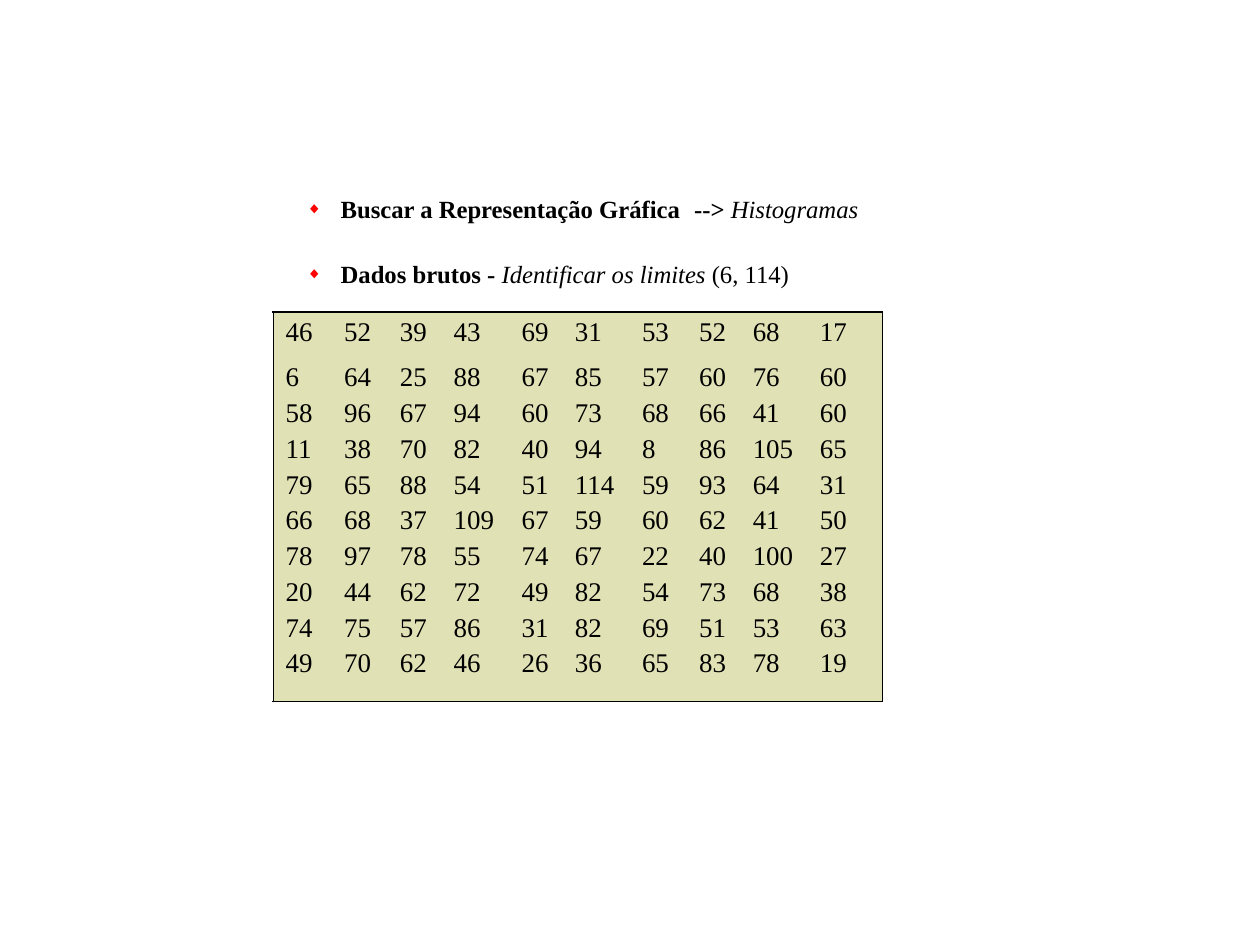
from lxml import etree
from pptx import Presentation
from pptx.dml.color import RGBColor
from pptx.enum.text import PP_ALIGN
from pptx.oxml.ns import qn
from pptx.util import Pt

CENTER = PP_ALIGN.CENTER
LEFT = PP_ALIGN.LEFT

FONT = "Times New Roman"
BLACK, RED, KHAKI = "000000", "FF0000", "E1E1B6"
PLAIN_TABLE_STYLE = "{2D5ABB26-0587-4C30-8999-92F81FD0307C}"

# Each bullet is a list of (text, bold, italic)
BULLETS = [
    [("Buscar a Representação Gráfica\t--> ", True, False),
     ("Histogramas", False, True)],
    [("Dados brutos - ", True, False),
     ("Identificar os limites ", False, True),
     ("(6, 114)", False, False)],
]
BULLET_GAP = 31.7
BULLET_INDENT = 30.6
ARROW_TAB = 345.6

RAW_DATA = [
    [46, 52, 39, 43, 69, 31, 53, 52, 68, 17],
    [6, 64, 25, 88, 67, 85, 57, 60, 76, 60],
    [58, 96, 67, 94, 60, 73, 68, 66, 41, 60],
    [11, 38, 70, 82, 40, 94, 8, 86, 105, 65],
    [79, 65, 88, 54, 51, 114, 59, 93, 64, 31],
    [66, 68, 37, 109, 67, 59, 60, 62, 41, 50],
    [78, 97, 78, 55, 74, 67, 22, 40, 100, 27],
    [20, 44, 62, 72, 49, 82, 54, 73, 68, 38],
    [74, 75, 57, 86, 31, 82, 69, 51, 53, 63],
    [49, 70, 62, 46, 26, 36, 65, 83, 78, 19],
]
COLUMN_WIDTHS = [50.4, 49.7, 49.7, 59, 49, 59.8, 49, 49.7, 59.8, 67]
ROW_HEIGHTS = [53.3] + [31.85] * 8 + [38.9]
CENTERED_COLUMNS = {1, 2, 4, 7}


def color(hex_string):
    return RGBColor.from_string(hex_string)


def add_child(parent, tag, **attributes):
    child = etree.SubElement(parent, qn(tag))
    for name, value in attributes.items():
        child.set(name, str(value))
    return child


def format_run(run, size, bold=False, italic=False):
    run.font.name = FONT
    run.font.size = Pt(size)
    run.font.bold = bold
    run.font.italic = italic
    run.font.color.rgb = color(BLACK)


def add_bullet_marker(paragraph):
    properties = paragraph._p.get_or_add_pPr()
    properties.set("marL", str(Pt(BULLET_INDENT)))
    properties.set("indent", str(-Pt(BULLET_INDENT)))
    add_child(add_child(properties, "a:buClr"), "a:srgbClr", val=RED)
    add_child(properties, "a:buSzPct", val=64000)
    add_child(properties, "a:buFont", typeface=FONT)
    add_child(properties, "a:buChar", char="◆")
    tabs = add_child(properties, "a:tabLst")
    for position in (BULLET_INDENT, ARROW_TAB):
        add_child(tabs, "a:tab", pos=Pt(position), algn="l")


def add_bullets(slide, left, top, width, height):
    text_frame = slide.shapes.add_textbox(
        Pt(left), Pt(top), Pt(width), Pt(height)).text_frame
    text_frame.word_wrap = True
    text_frame.margin_left = text_frame.margin_right = 0
    text_frame.margin_top = Pt(0.7)
    text_frame.margin_bottom = 0
    for index, parts in enumerate(BULLETS):
        paragraph = text_frame.add_paragraph() if index else text_frame.paragraphs[0]
        paragraph.space_before = Pt(BULLET_GAP if index else 1.1)
        add_bullet_marker(paragraph)
        for text, bold, italic in parts:
            run = paragraph.add_run()
            run.text = text
            format_run(run, 22, bold, italic)


def add_border(cell, tag):
    line = add_child(cell._tc.get_or_add_tcPr(), tag, w=Pt(1.5))
    add_child(add_child(line, "a:solidFill"), "a:srgbClr", val=BLACK)


def fill_data_cell(cell, value, row, column):
    # Only the outer edge of the table is ruled
    edges = {
        "a:lnL": column == 0,
        "a:lnR": column == len(COLUMN_WIDTHS) - 1,
        "a:lnT": row == 0,
        "a:lnB": row == len(ROW_HEIGHTS) - 1,
    }
    for tag, is_outer in edges.items():
        if is_outer:
            add_border(cell, tag)
    cell.fill.solid()
    cell.fill.fore_color.rgb = color(KHAKI)

    centered = column in CENTERED_COLUMNS
    cell.margin_left = cell.margin_right = cell.margin_bottom = 0
    cell.margin_top = Pt(0 if row else 11.7)
    paragraph = cell.text_frame.paragraphs[0]
    paragraph.text = str(value)
    paragraph.alignment = CENTER if centered else LEFT
    paragraph.line_spacing = Pt(18.6 if row else 20)
    if not centered:
        paragraph._p.get_or_add_pPr().set("marL", str(Pt(11)))
    format_run(paragraph.runs[0], 24)


def add_data_table(slide, left, top):
    table = slide.shapes.add_table(
        len(ROW_HEIGHTS), len(COLUMN_WIDTHS), Pt(left), Pt(top),
        Pt(sum(COLUMN_WIDTHS)), Pt(sum(ROW_HEIGHTS))).table
    table.first_row = table.horz_banding = False
    table._tbl.tblPr.find(qn("a:tableStyleId")).text = PLAIN_TABLE_STYLE
    for column, width in zip(table.columns, COLUMN_WIDTHS):
        column.width = Pt(width)
    for row, height in zip(table.rows, ROW_HEIGHTS):
        row.height = Pt(height)
    for row, values in enumerate(RAW_DATA):
        for column, value in enumerate(values):
            fill_data_cell(table.cell(row, column), value, row, column)


def main():
    presentation = Presentation()
    presentation.slide_width = Pt(1122.5)
    presentation.slide_height = Pt(841.7)
    slide = presentation.slides.add_slide(presentation.slide_layouts[6])
    add_bullets(slide, 272.9, 172.1, 493.9, 87.8)
    add_data_table(slide, 243.4, 277.9)
    presentation.save("out.pptx")


if __name__ == "__main__":
    main()
